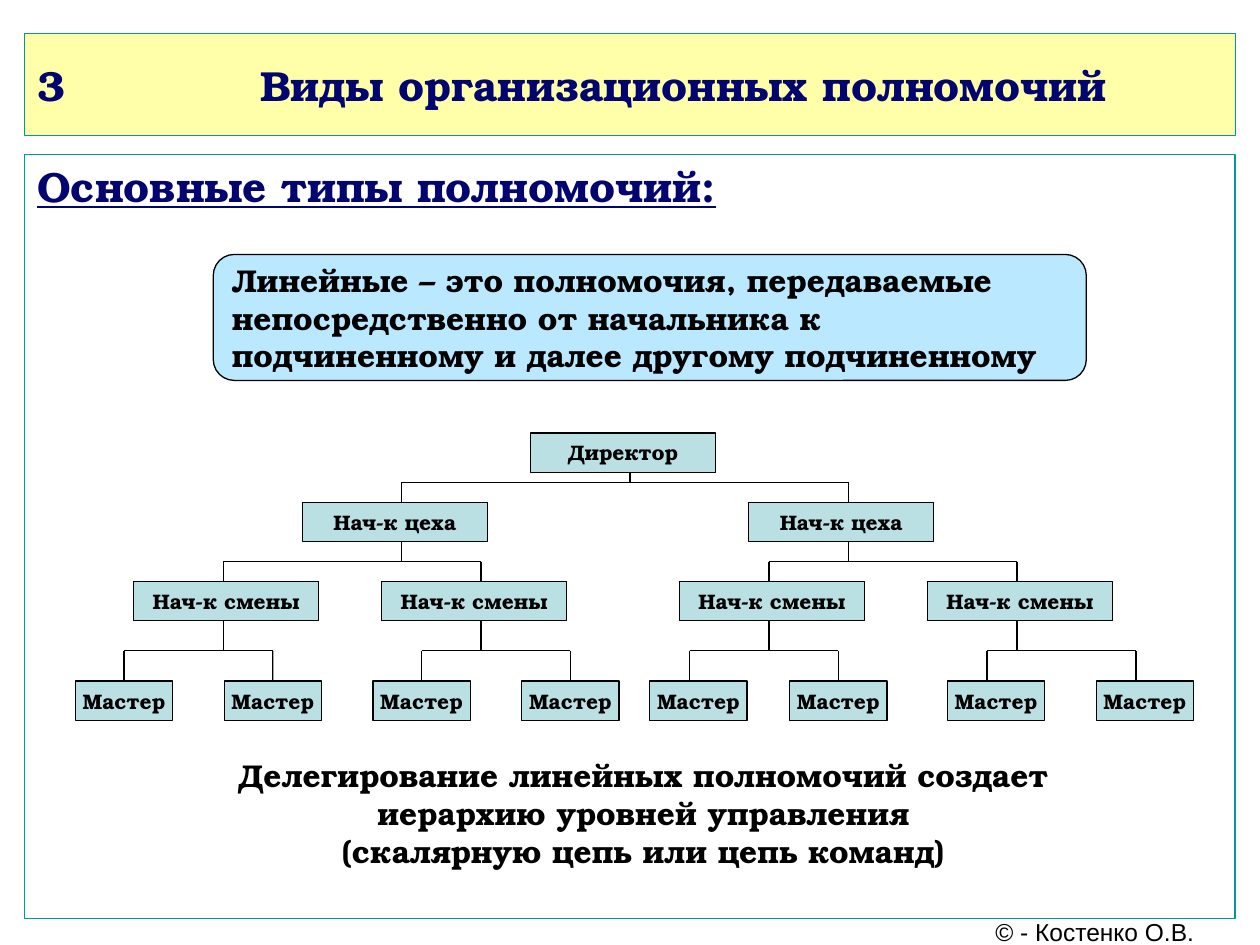
from lxml.etree import SubElement
from pptx import Presentation
from pptx.dml.color import RGBColor
from pptx.enum.shapes import MSO_CONNECTOR, MSO_SHAPE
from pptx.enum.text import MSO_ANCHOR, MSO_AUTO_SIZE, PP_ALIGN
from pptx.oxml.ns import qn
from pptx.util import Cm, Pt

COLORS = {"navy": "020570", "black": "000000", "teal": "009999", "yellow": "FFFFA9",
          "white": "FFFFFF", "sky": "B9E8FF", "node": "BBE0E3"}
SERIF, SANS = "TeX Gyre Bonum", "Arial"
BOX_H = 0.79
WIDE, NARROW = 3.73, 1.96

TREE = ("Директор", 12.7, -0.14, [
    ("Нач-к цеха", 8.1, -0.14, [
        ("Нач-к смены", 4.5, 0.06, [("Мастер", 2.5, 0, []), ("Мастер", 5.5, 0, [])]),
        ("Нач-к смены", 9.7, -0.14, [("Мастер", 8.5, 0, []), ("Мастер", 11.5, 0, [])])]),
    ("Нач-к цеха", 17.1, -0.14, [
        ("Нач-к смены", 15.5, 0.06, [("Мастер", 13.9, 0.18, []), ("Мастер", 16.9, 0, [])]),
        ("Нач-к смены", 20.5, 0.06, [("Мастер", 19.9, 0.18, []), ("Мастер", 22.9, 0.18, [])])])])
TOPS = [8.73, 10.13, 11.72, 13.73]
BUSES = [9.72, 11.32, 13.12]


def rgb(name):
    return RGBColor.from_string(COLORS[name])


class Deck:
    """Holds the slide and draws its styled elements, with lengths in centimetres."""

    def __init__(self, prs):
        self.slide = prs.slides.add_slide(prs.slide_layouts[5])
        self.shapes = self.slide.shapes

    def text(self, sp, text, size, color="black", align=PP_ALIGN.LEFT, font=SERIF,
             bold=True, underline=None, anchor=MSO_ANCHOR.MIDDLE, wrap=False):
        tf = sp.text_frame
        tf.text = text
        tf.word_wrap = wrap
        tf.auto_size = MSO_AUTO_SIZE.NONE
        tf.vertical_anchor = anchor
        for p in tf.paragraphs:
            p.alignment = align
            for r in p.runs:
                r.font.name, r.font.size = font, Pt(size)
                r.font.bold, r.font.underline = bold, underline
                r.font.color.rgb = rgb(color)

    def paint(self, sp, fill, line):
        sp.fill.solid()
        sp.fill.fore_color.rgb = rgb(fill)
        sp.line.color.rgb = rgb(line)
        sp.line.width = Pt(0.75)

    def title(self, text, x, y, w, h, stops):
        sp = self.shapes.title
        sp.left, sp.top, sp.width, sp.height = Cm(x), Cm(y), Cm(w), Cm(h)
        self.paint(sp, "yellow", "teal")
        self.text(sp, text, 24, "navy", wrap=True)
        pPr = sp.text_frame.paragraphs[0]._p.get_or_add_pPr()
        tabs = SubElement(pPr, qn("a:tabLst"))
        for stop in stops:
            SubElement(tabs, qn("a:tab"), pos=str(Cm(stop)), algn="l")

    def box(self, text, x, y, w, h, fill, size, line="black", kind=MSO_SHAPE.RECTANGLE, **style):
        sp = self.shapes.add_shape(kind, Cm(x), Cm(y), Cm(w), Cm(h))
        sp.shadow.inherit = False
        self.paint(sp, fill, line)
        self.text(sp, text, size, **style)
        return sp

    def label(self, text, x, y, w, h, size, **style):
        sp = self.shapes.add_textbox(Cm(x), Cm(y), Cm(w), Cm(h))
        self.text(sp, text, size, align=PP_ALIGN.CENTER, **style)

    def line(self, x1, y1, x2, y2):
        ln = self.shapes.add_connector(MSO_CONNECTOR.STRAIGHT, Cm(x1), Cm(y1), Cm(x2), Cm(y2))
        ln.line.color.rgb = rgb("black")
        ln.line.width = Pt(0.75)
        SubElement(ln._element.spPr, qn("a:effectLst"))
        return ln

    def tree(self, node, level=0):
        text, x, shift, children = node
        w = WIDE if children else NARROW
        y = TOPS[level]
        sp = self.box(text, x + shift - w / 2, y, w, BOX_H, "node", 12, align=PP_ALIGN.CENTER)
        if level:
            drop = self.line(x, BUSES[level - 1], x, y)
            if shift == 0:
                drop.end_connect(sp, 0)
        if children:
            bus = BUSES[level]
            self.line(x, y + BOX_H, x, bus)
            self.line(children[0][1], bus, children[-1][1], bus)
        for child in children:
            self.tree(child, level + 1)


def main():
    prs = Presentation()
    prs.slide_width, prs.slide_height = Cm(25.4), Cm(19.05)
    deck = Deck(prs)
    deck.title("3\t\tВиды организационных полномочий", 0.5, 0.68, 24.4, 2.05, stops=(2, 4.5))
    deck.box("Основные типы полномочий:", 0.5, 3.12, 24.4, 15.4, "white", 24, line="teal",
             color="navy", underline=True, anchor=MSO_ANCHOR.TOP, wrap=True)
    deck.box("Линейные – это полномочия, передаваемые\n"
             "непосредственно от начальника к\n"
             "подчиненному и далее другому подчиненному",
             4.3, 5.13, 17.6, 2.54, "sky", 18, kind=MSO_SHAPE.ROUNDED_RECTANGLE)
    deck.tree(TREE)
    deck.label("Делегирование линейных полномочий создает\n"
               "иерархию уровней управления\n"
               "(скалярную цепь или цепь команд)", 4.3, 15.12, 17.34, 2.54, 18)
    deck.label("© - Костенко О.В.", 19.5, 18.52, 5.14, 0.53, 14, font=SANS, bold=False)
    prs.save("out.pptx")


if __name__ == "__main__":
    main()
